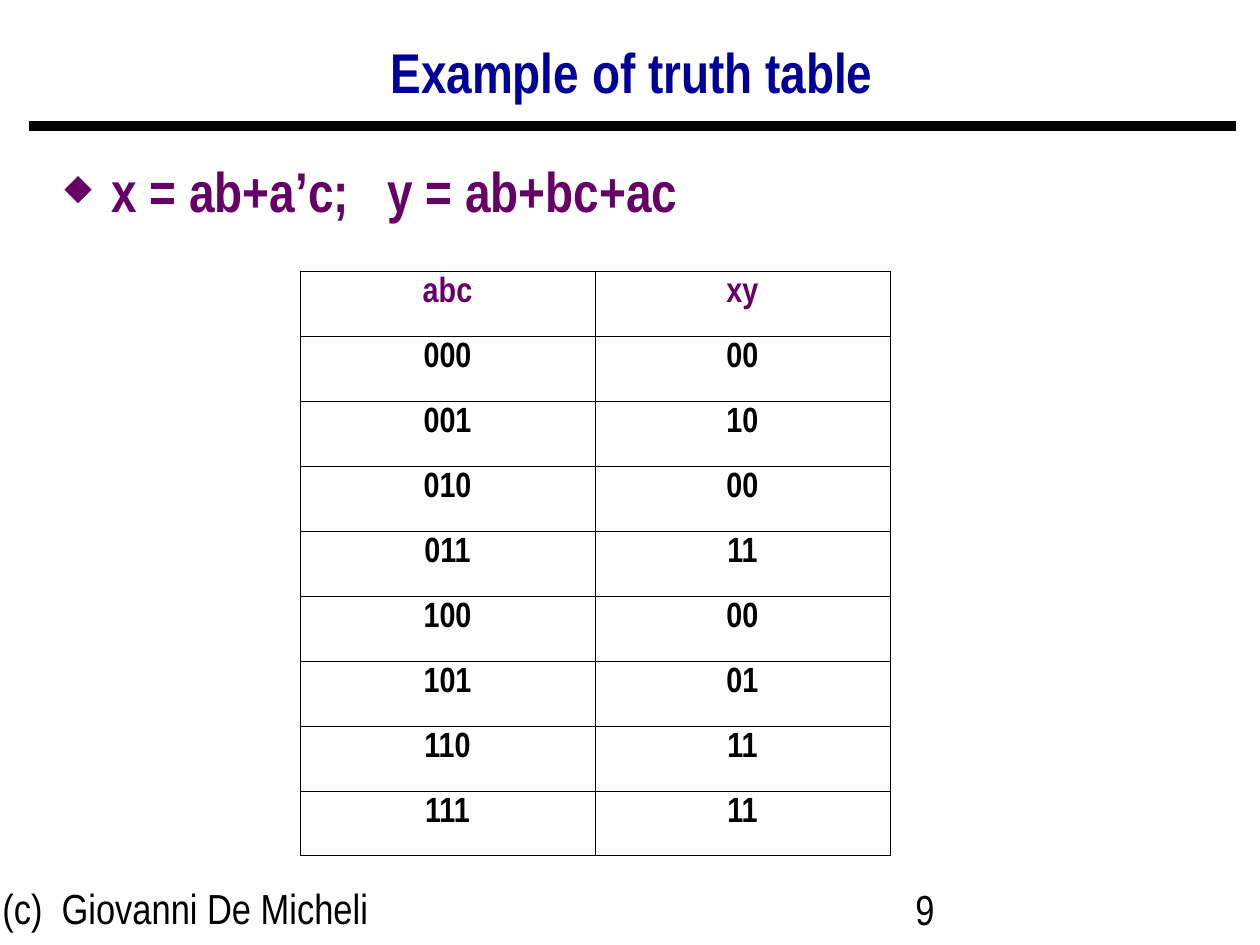
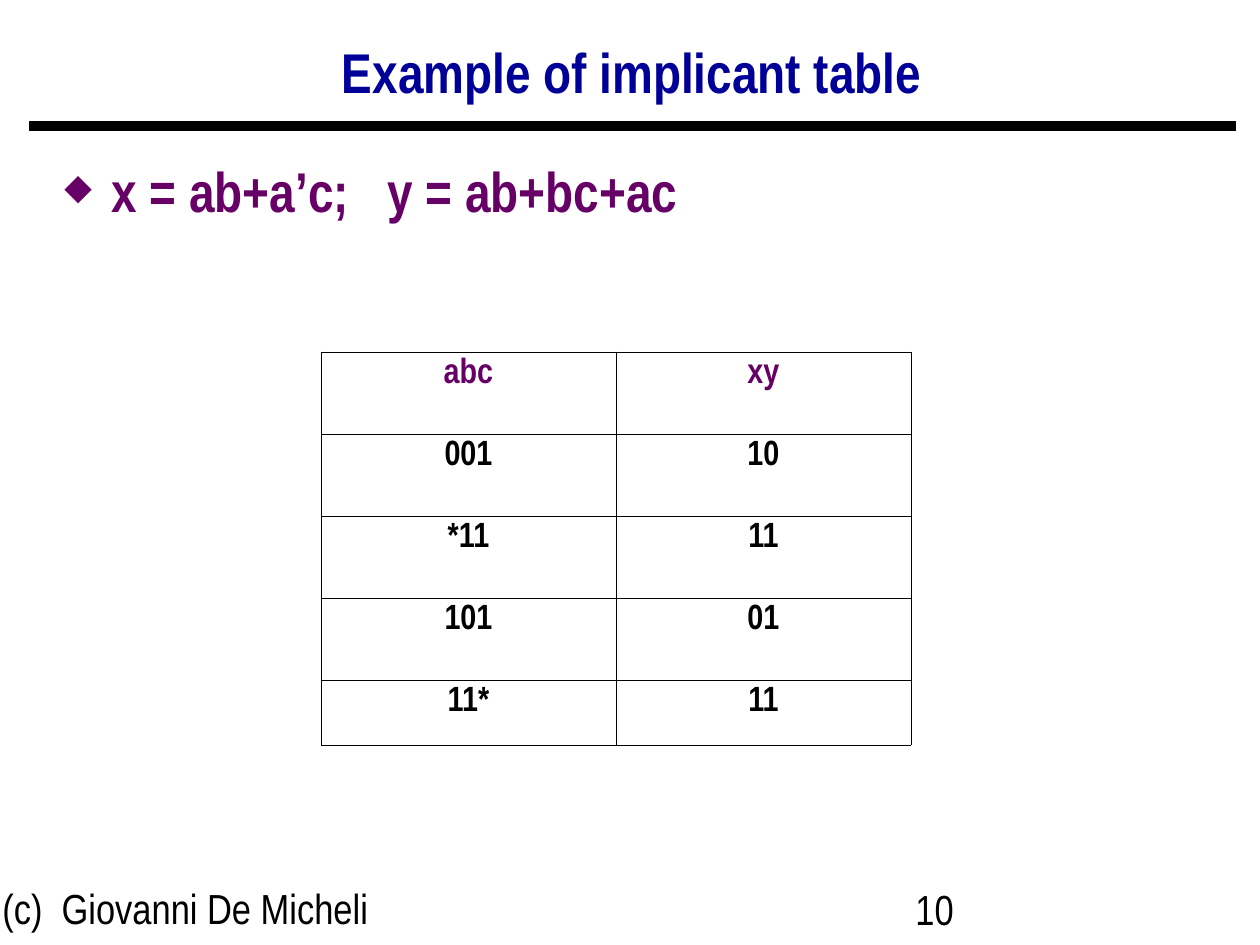
from lxml.etree import SubElement
from pptx import Presentation
from pptx.dml.color import RGBColor
from pptx.enum.shapes import MSO_CONNECTOR
from pptx.enum.text import MSO_ANCHOR, PP_ALIGN
from pptx.oxml.ns import qn
from pptx.util import Pt

PX = 914400 / 126
FONT = "Arial Narrow"
BLACK = RGBColor(0x00, 0x00, 0x00)
NAVY = RGBColor(0x00, 0x00, 0x99)
PURPLE = RGBColor(0x66, 0x00, 0x66)

TITLE_BOX = (33, 28, 1198, 94)
RULE = (34, 126, 1197)
BODY_BOX = (32, 134, 867, 732)
CREDIT_BOX = (-10, 876, 398, 65)
NUMBER_BOX = (903, 877, 294, 65)
COLUMN_WIDTH = 295
OUTER_BORDER, INNER_BORDER = Pt(0.5), Pt(0.23)

TRUTH_ROWS = [
    ("abc", "xy"), ("000", "00"), ("001", "10"), ("010", "00"), ("011", "11"),
    ("100", "00"), ("101", "01"), ("110", "11"), ("111", "11"),
]
IMPLICANT_ROWS = [("abc", "xy"), ("001", "10"), ("*11", "11"), ("101", "01"), ("11*", "11")]


def px(length):
    """Turn pixels into EMU."""
    return round(length * PX)


def add_span(para, text, size, color, bold=False):
    """Append one styled run and return it."""
    span = para.add_run()
    span.text = text
    font = span.font
    font.name, font.size, font.bold = FONT, Pt(size), bold
    font.color.rgb = color
    return span


def add_box(page, box, anchor=MSO_ANCHOR.TOP):
    """Add a wrapping text box and return its first paragraph."""
    frame = page.shapes.add_textbox(*map(px, box)).text_frame
    frame.word_wrap = True
    frame.vertical_anchor = anchor
    return frame.paragraphs[0]


def add_title(page, box, text):
    """Place the centred slide title."""
    para = add_box(page, box, MSO_ANCHOR.MIDDLE)
    para.alignment = PP_ALIGN.CENTER
    para.line_spacing = 0.9
    add_span(para, text, 32, NAVY, bold=True)


def add_rule(page, left, top, width):
    """Draw the thick line under the title."""
    rule = page.shapes.add_connector(
        MSO_CONNECTOR.STRAIGHT, px(left), px(top), px(left + width), px(top))
    rule.line.color.rgb = BLACK
    rule.line.width = Pt(6)
    rule.line._get_or_add_ln().set("cap", "sq")
    SubElement(rule._element.spPr, qn("a:effectLst"))


def add_functions(page, box):
    """Place the bulleted line that defines x and y."""
    para = add_box(page, box)
    para.line_spacing = 1.25
    props = para._p.get_or_add_pPr()
    props.set("marL", str(px(67)))
    props.set("indent", str(px(-47)))
    bullet_color = SubElement(props, qn("a:buClr"))
    SubElement(bullet_color, qn("a:srgbClr"), val=str(PURPLE))
    SubElement(props, qn("a:buSzPct"), val="64000")
    SubElement(props, qn("a:buChar"), char="◆")
    add_span(para, "x = ab+a’c;", 32, PURPLE, bold=True)
    gap = add_span(para, " ", 32, PURPLE, bold=True)
    gap.font._element.set("spc", "1460")
    add_span(para, "y = ab+bc+ac", 32, PURPLE, bold=True)


def set_borders(cell, outer_sides):
    """Draw all four borders, heavier on the outer sides of the table."""
    props = cell._tc.get_or_add_tcPr()
    for side in "LRTB":
        width = OUTER_BORDER if side in outer_sides else INNER_BORDER
        line = SubElement(props, qn(f"a:ln{side}"), w=str(width))
        fill = SubElement(line, qn("a:solidFill"))
        SubElement(fill, qn("a:srgbClr"), val=str(BLACK))


def add_value_table(page, left, top, rows, heights):
    """Place a table of input and output values."""
    columns = len(rows[0])
    frame = page.shapes.add_table(
        len(rows), columns, px(left), px(top), px(COLUMN_WIDTH * columns), px(sum(heights)))
    table = frame.table
    table.first_row = table.horz_banding = False
    for column in table.columns:
        column.width = px(COLUMN_WIDTH)
    for r, (values, height) in enumerate(zip(rows, heights)):
        table.rows[r].height = px(height)
        for c, value in enumerate(values):
            cell = table.cell(r, c)
            edges = {"L": c == 0, "R": c == columns - 1, "T": r == 0, "B": r == len(rows) - 1}
            set_borders(cell, [side for side, outer in edges.items() if outer])
            cell.fill.background()
            para = cell.text_frame.paragraphs[0]
            para.alignment = PP_ALIGN.CENTER
            para.line_spacing = 0.97
            add_span(para, value, 20, BLACK if r else PURPLE, bold=True)


def add_footer(page, number):
    """Place the copyright line and the page number."""
    add_span(add_box(page, CREDIT_BOX), "(c)  Giovanni De Micheli", 24, BLACK)
    add_span(add_box(page, NUMBER_BOX), str(number), 24, BLACK)


def add_table_page(deck, number, title, left, top, rows, heights):
    """Build one slide with a title, the functions and their table."""
    page = deck.slides.add_slide(deck.slide_layouts[6])
    add_rule(page, *RULE)
    add_footer(page, number)
    add_title(page, TITLE_BOX, title)
    add_functions(page, BODY_BOX)
    add_value_table(page, left, top, rows, heights)


def main():
    """Build and save the deck."""
    deck = Presentation()
    deck.slide_width, deck.slide_height = px(1260), px(945)
    add_table_page(deck, 9, "Example of truth table", 300, 271, TRUTH_ROWS, [65] * 9)
    add_table_page(deck, 10, "Example of implicant table", 321, 352,
                   IMPLICANT_ROWS, [82] * 4 + [65])
    deck.save("out.pptx")


if __name__ == "__main__":
    main()
